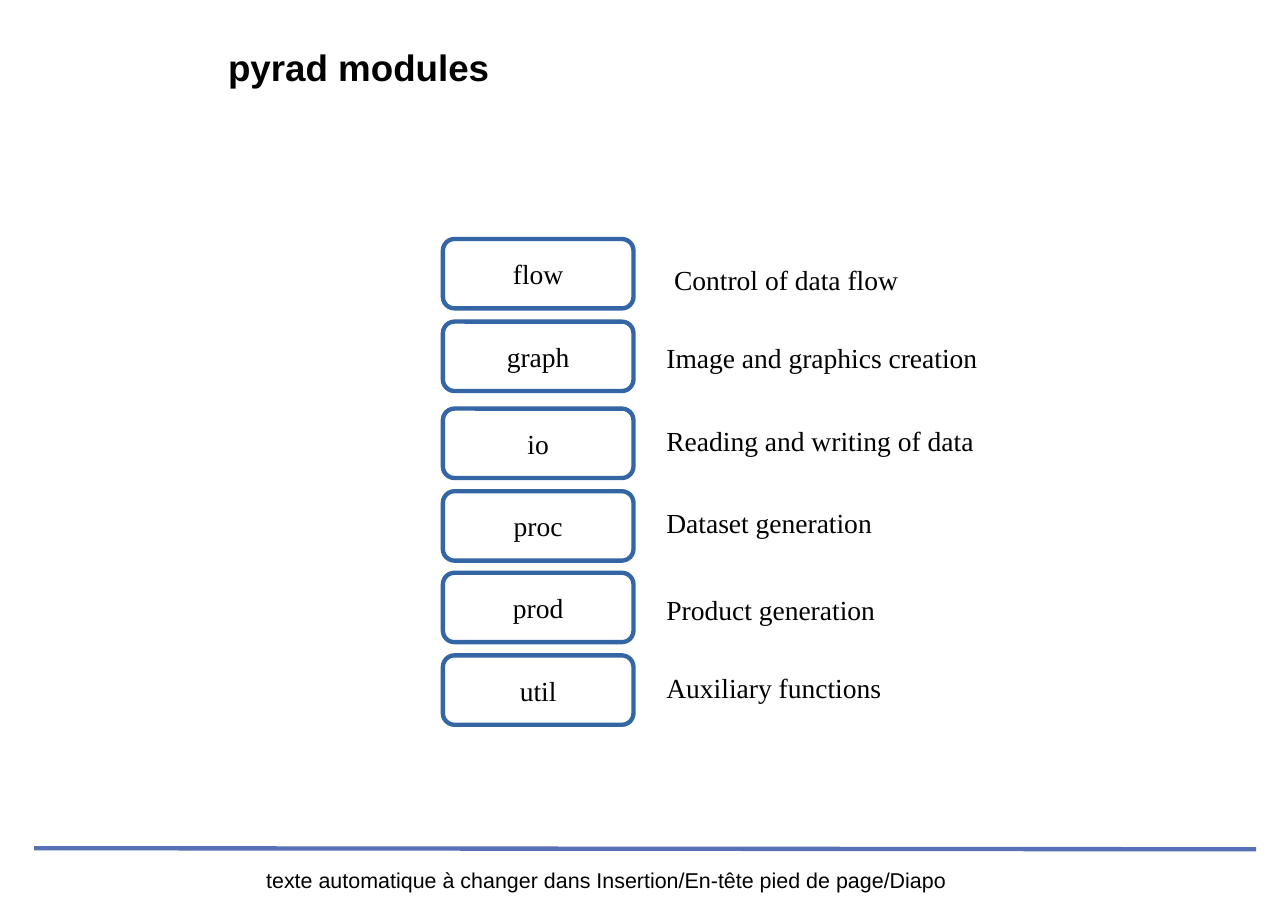
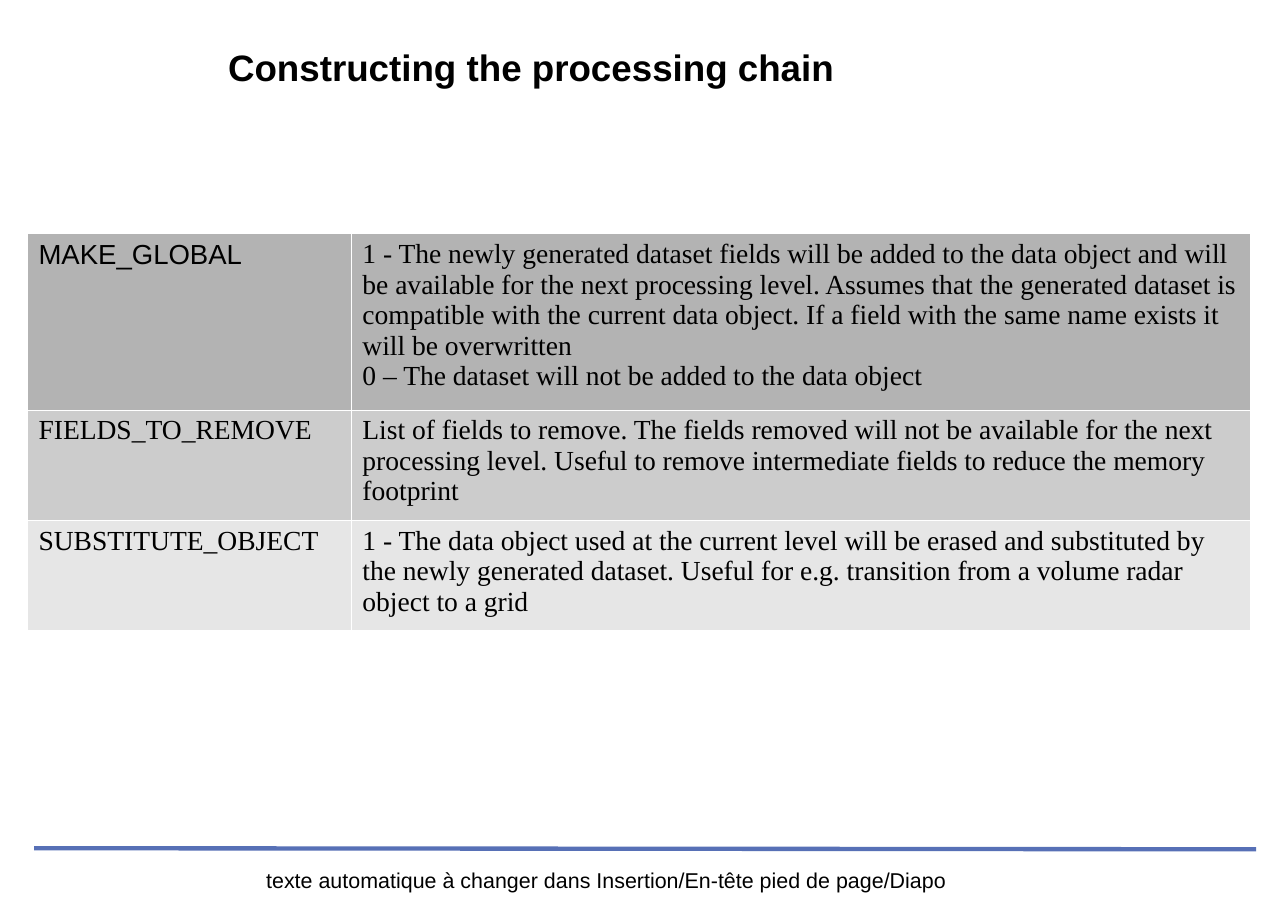
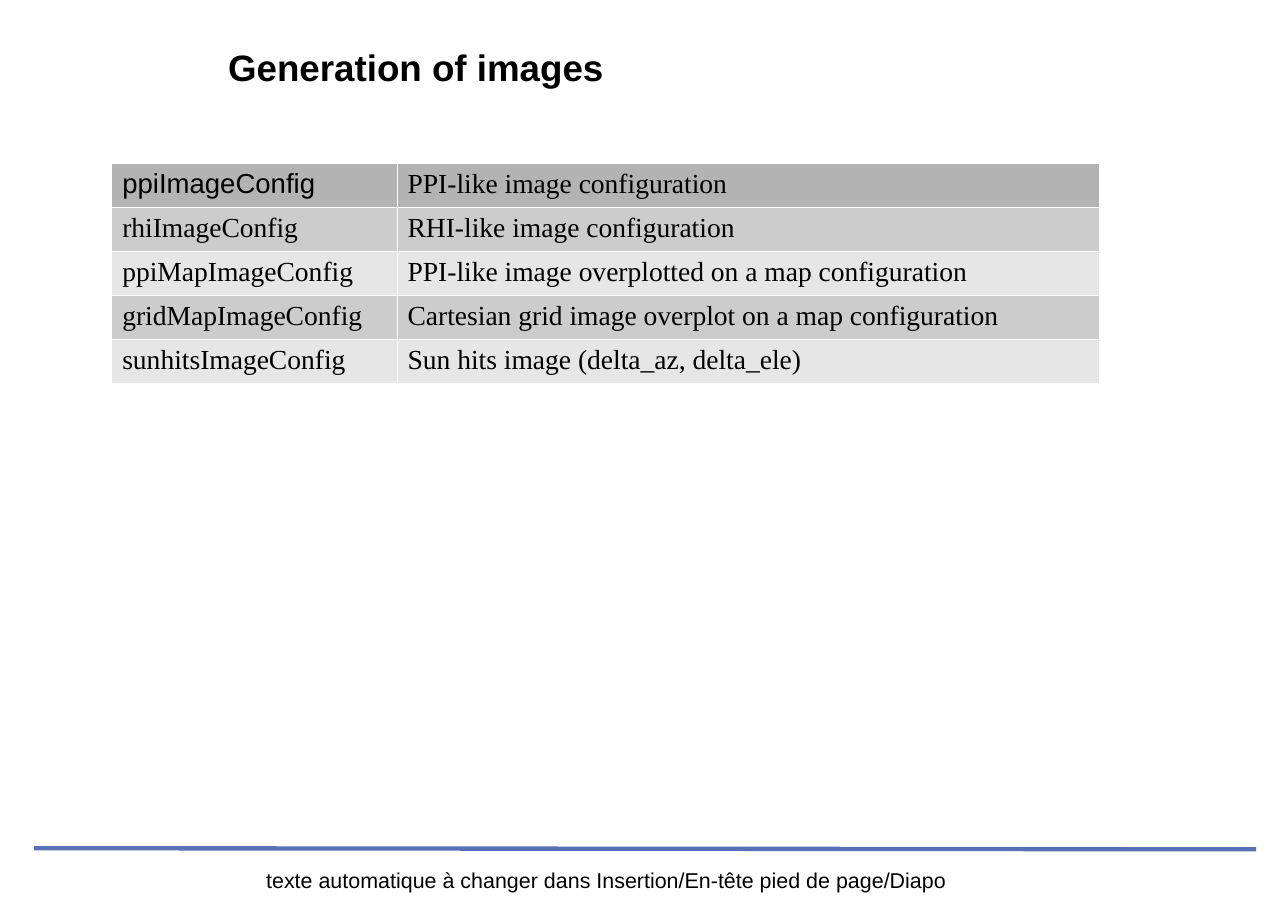
import pptx
import pptx.util
import pptx.dml.color
import pptx.enum.shapes
import pptx.enum.text
import pptx.oxml
import pptx.oxml.ns

Inches = pptx.util.Inches
Pt = pptx.util.Pt
ALIGN = pptx.enum.text.PP_ALIGN
ANCHOR = pptx.enum.text.MSO_ANCHOR

COLORS = {
    "text": "000000",
    "white": "FFFFFF",
    "rule": "5770B6",
    "box_line": "3465A4",
    "header_row": "B3B3B3",
    "odd_row": "CCCCCC",
    "even_row": "E6E6E6",
}
SANS = "Arial"
SERIF = "Times New Roman"
RULE_WIDTH = Pt(2.83)
FOOTER = "texte automatique à changer dans Insertion/En-tête pied de page/Diapo"


def color(name):
    return pptx.dml.color.RGBColor.from_string(COLORS[name])


def write(frame, lines, size=18, font=SERIF, bold=False, align=ALIGN.LEFT, anchor=ANCHOR.TOP, margins=(0.1, 0.05)):
    frame.word_wrap = True
    frame.vertical_anchor = anchor
    frame.margin_left = frame.margin_right = Inches(margins[0])
    frame.margin_top = frame.margin_bottom = Inches(margins[1])
    for index, line in enumerate(lines):
        paragraph = frame.add_paragraph() if index else frame.paragraphs[0]
        paragraph.alignment = align
        run = paragraph.add_run()
        run.text = line
        run.font.size = Pt(size)
        run.font.name = font
        run.font.bold = bold
        run.font.color.rgb = color("text")


presentation = pptx.Presentation()
presentation.slide_width = Inches(11.69)
presentation.slide_height = Inches(8.27)

slides = []
for title in ["pyrad modules", "Constructing the processing chain", "Generation of images"]:
    slide = presentation.slides.add_slide(presentation.slide_layouts[6])
    slides.append(slide)
    rule = slide.shapes.add_connector(
        pptx.enum.shapes.MSO_CONNECTOR.STRAIGHT, Inches(0.31), Inches(7.7), Inches(11.4), Inches(7.71))
    rule.line.color.rgb = color("rule")
    rule.line.width = RULE_WIDTH
    rule._element.spPr.append(pptx.oxml.parse_xml(f'<a:effectLst {pptx.oxml.ns.nsdecls("a")}/>'))
    title_box = slide.shapes.add_textbox(Inches(2.07), Inches(0.27), Inches(9.24), Inches(0.67))
    write(title_box.text_frame, [title], 24, SANS, bold=True, anchor=ANCHOR.MIDDLE, margins=(0, 0))
    footer_box = slide.shapes.add_textbox(Inches(1.49), Inches(7.87), Inches(8.03), Inches(0.39))
    write(footer_box.text_frame, [FOOTER], 14, SANS, align=ALIGN.CENTER, margins=(0, 0))

modules = [
    ("flow", 2.17, "Control of data flow", 6.02, 2.34),
    ("graph", 2.92, "Image and graphics creation", 5.95, 3.05),
    ("io", 3.71, "Reading and writing of data", 5.95, 3.8),
    ("proc", 4.46, "Dataset generation", 5.95, 4.54),
    ("prod", 5.2, "Product generation", 5.95, 5.33),
    ("util", 5.95, "Auxiliary functions", 5.95, 6.04),
]
for name, box_top, description, text_left, text_top in modules:
    box = slides[0].shapes.add_shape(
        pptx.enum.shapes.MSO_SHAPE.ROUNDED_RECTANGLE, Inches(4.02), Inches(box_top), Inches(1.73), Inches(0.63))
    box.shadow.inherit = False
    box.fill.solid()
    box.fill.fore_color.rgb = color("white")
    box.line.color.rgb = color("box_line")
    box.line.width = RULE_WIDTH
    write(box.text_frame, [name], align=ALIGN.CENTER, anchor=ANCHOR.MIDDLE)
    description_box = slides[0].shapes.add_textbox(
        Inches(text_left), Inches(text_top), Inches(3.2), Inches(0.38))
    write(description_box.text_frame, [description])

chain_options = [
    ("MAKE_GLOBAL", [
        "1 - The newly generated dataset fields will be added to the data object and will be available for "
        "the next processing level. Assumes that the generated dataset is compatible with the current data "
        "object. If a field with the same name exists it will be overwritten",
        "0 – The dataset will not be added to the data object"]),
    ("FIELDS_TO_REMOVE", [
        "List of fields to remove. The fields removed will not be available for the next processing level. "
        "Useful to remove intermediate fields to reduce the memory footprint"]),
    ("SUBSTITUTE_OBJECT", [
        "1 - The data object used at the current level will be erased and substituted by the newly generated "
        "dataset. Useful for e.g. transition from a volume radar object to a grid"]),
]
image_options = [
    ("ppiImageConfig", ["PPI-like image configuration"]),
    ("rhiImageConfig", ["RHI-like image configuration"]),
    ("ppiMapImageConfig", ["PPI-like image overplotted on a map configuration"]),
    ("gridMapImageConfig", ["Cartesian grid image overplot on a map configuration"]),
    ("sunhitsImageConfig", ["Sun hits image (delta_az, delta_ele)"]),
]
tables = [
    (slides[1], 0.25, 2.12, [2.94, 8.16], [1.59, 1, 1], chain_options),
    (slides[2], 1.01, 1.48, [2.59, 6.38], [0.4] * 5, image_options),
]
for slide, left, top, widths, heights, options in tables:
    table = slide.shapes.add_table(
        len(options), 2, Inches(left), Inches(top), Inches(sum(widths)), Inches(sum(heights))).table
    table.first_row = False
    table.horz_banding = False
    for column, width in zip(table.columns, widths):
        column.width = Inches(width)
    for row_index, (name, description) in enumerate(options):
        table.rows[row_index].height = Inches(heights[row_index])
        band = "header_row" if row_index == 0 else "odd_row" if row_index % 2 else "even_row"
        for column_index, lines in enumerate([[name], description]):
            cell = table.cell(row_index, column_index)
            header = row_index == 0 and column_index == 0
            write(cell.text_frame, lines, font=SANS if header else SERIF)
            cell.margin_left = cell.margin_right = Inches(0.1)
            cell.margin_top = cell.margin_bottom = Inches(0.05)
            cell.vertical_anchor = ANCHOR.TOP
            properties = cell._tc.get_or_add_tcPr()
            for side in ["lnL", "lnR", "lnT", "lnB"]:
                properties.append(pptx.oxml.parse_xml(
                    f'<a:{side} {pptx.oxml.ns.nsdecls("a")} w="{Pt(0.06)}"><a:solidFill>'
                    f'<a:srgbClr val="{COLORS["white"]}"/></a:solidFill></a:{side}>'))
            cell.fill.solid()
            cell.fill.fore_color.rgb = color(band)

presentation.save("out.pptx")
